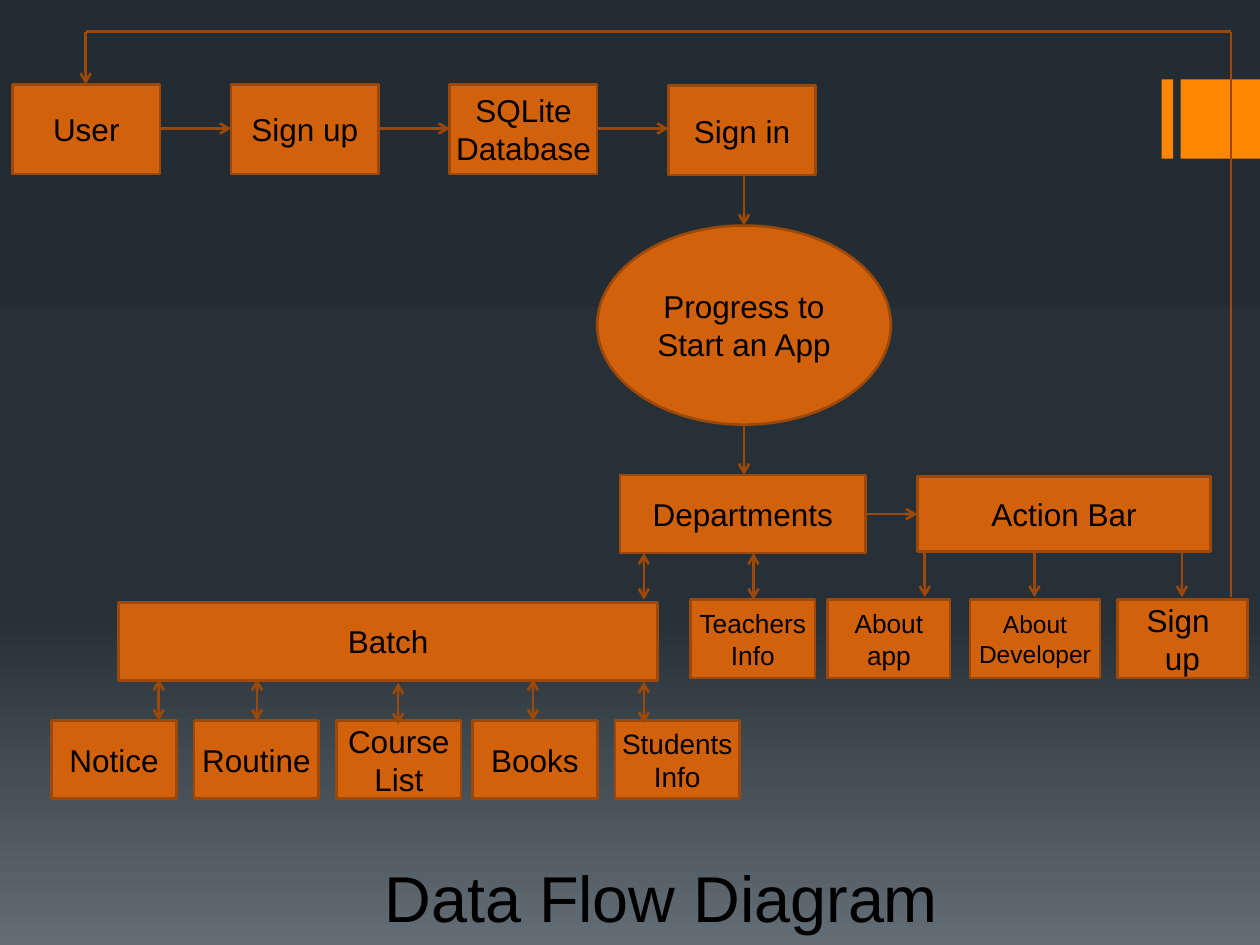
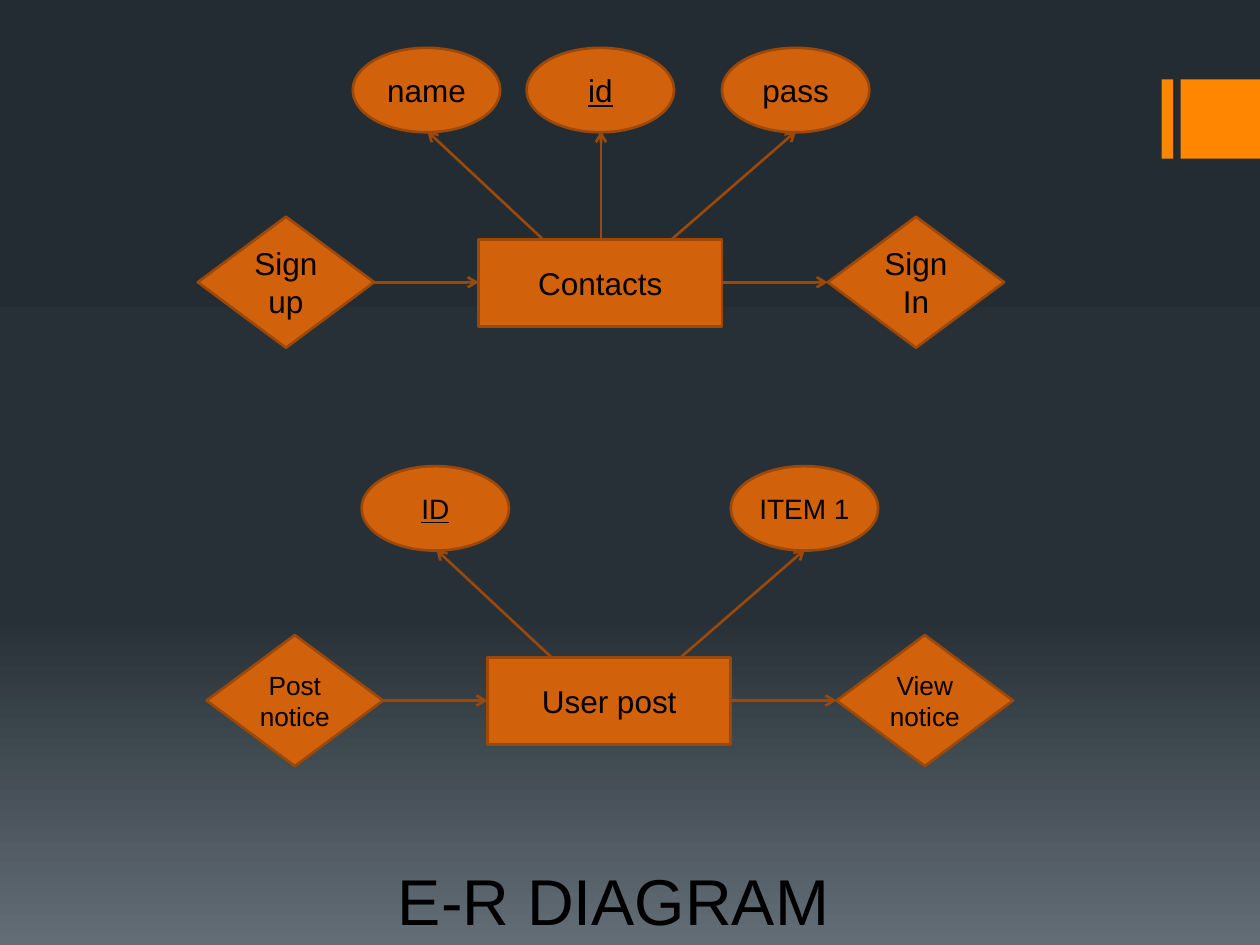
from pptx import Presentation
from pptx.util import Inches, Pt
from pptx.dml.color import RGBColor
from pptx.enum.shapes import MSO_CONNECTOR, MSO_SHAPE
from pptx.enum.text import MSO_ANCHOR, PP_ALIGN
from pptx.oxml import parse_xml
from pptx.oxml.ns import nsdecls
from lxml import etree

FONT = "Arial"
FILL, EDGE, BAND, INK = "D2610C", "9B4809", "FF8600", "000000"
BACKGROUND = [(0, "242C33"), (65, "273037"), (100, "636D76")]
RECT, OVAL, DIAMOND = MSO_SHAPE.RECTANGLE, MSO_SHAPE.OVAL, MSO_SHAPE.DIAMOND
NODE_FRAME = dict(margin_left=Inches(0.04), margin_right=Inches(0.04),
                  margin_top=Inches(0.02), margin_bottom=Inches(0.02),
                  vertical_anchor=MSO_ANCHOR.MIDDLE, word_wrap=True)
TITLE_FRAME = dict(margin_left=Inches(0.1), margin_right=Inches(0.1),
                   margin_top=Inches(0.05), margin_bottom=Inches(0.05),
                   vertical_anchor=MSO_ANCHOR.BOTTOM, word_wrap=True)


def rgb(value):
    return RGBColor.from_string(value)


def apply(target, formats):
    for name, value in formats.items():
        setattr(target, name, value)


def write(sp, text, frame, size, align=PP_ALIGN.CENTER, underline=None):
    """Fill a text frame, one paragraph for each line."""
    tf = sp.text_frame
    apply(tf, frame)
    for i, line in enumerate(text.split("\n")):
        p = tf.paragraphs[0] if i == 0 else tf.add_paragraph()
        p.alignment = align
        r = p.add_run()
        r.text = line
        apply(r.font, dict(name=FONT, size=Pt(size), underline=underline))
        r.font.color.rgb = rgb(INK)


def block(s, kind, x, y, w, h, fill, edge=None):
    sp = s.shapes.add_shape(kind, Inches(x), Inches(y), Inches(w), Inches(h))
    sp.shadow.inherit = False
    sp.fill.solid()
    sp.fill.fore_color.rgb = rgb(fill)
    if edge:
        sp.line.color.rgb = rgb(edge)
        sp.line.width = Pt(1.5)
    else:
        sp.line.fill.background()
    return sp


def node(s, kind, x, y, w, h, text, size=18, underline=None):
    sp = block(s, kind, x, y, w, h, FILL, EDGE)
    write(sp, text, NODE_FRAME, size, underline=underline)


def link(s, x1, y1, x2, y2, ends=("tailEnd",)):
    """Draw a straight connector with open arrowheads at the given ends."""
    cn = s.shapes.add_connector(MSO_CONNECTOR.STRAIGHT, Inches(x1), Inches(y1),
                                Inches(x2), Inches(y2))
    cn.line.color.rgb = rgb(EDGE)
    cn.line.width = Pt(1.5)
    ln = cn.line._get_or_add_ln()
    for end in ends:
        ln.append(parse_xml(f'<a:{end} {nsdecls("a")} type="arrow"/>'))
    etree.SubElement(cn._element.spPr, ln.tag.replace("}ln", "}effectLst"))


BOTH = ("headEnd", "tailEnd")


def new_slide(prs):
    """Add a slide with the shared gradient and corner bands."""
    s = prs.slides.add_slide(prs.slide_layouts[6])
    stops = "".join(f'<a:gs pos="{pos * 1000}"><a:srgbClr val="{c}"/></a:gs>'
                    for pos, c in BACKGROUND)
    s._element.cSld.insert(0, parse_xml(
        f'<p:bg {nsdecls("p", "a")}><p:bgPr><a:gradFill rotWithShape="1">'
        f'<a:gsLst>{stops}</a:gsLst><a:lin ang="5400000" scaled="0"/>'
        f'</a:gradFill><a:effectLst/></p:bgPr></p:bg>'))
    for x, w in ((9.22, 0.09), (9.37, 0.63)):
        block(s, RECT, x, 0.63, w, 0.63, BAND)
    return s


def title(s, text, x, y, w, h, align):
    sp = s.shapes.add_textbox(Inches(x), Inches(y), Inches(w), Inches(h))
    write(sp, text, TITLE_FRAME, 37, align)


def sign_in_row(s, x, y):
    """Four account steps, joined from left to right."""
    w, h, pitch = 1.17, 0.71, 1.735
    for i, text in enumerate(("User", "Sign up", "SQLite\nDatabase", "Sign in")):
        left = x + i * pitch
        node(s, RECT, left, y + (0.01 if i == 3 else 0), w, h, text)
        if i:
            link(s, left - pitch + w, y + 0.35, left, y + 0.35)


def start_app(s, x, y, w, h):
    """Start oval with the arrows into and out of it."""
    node(s, OVAL, x, y, w, h, "Progress to\nStart an App")
    mid = x + w / 2
    link(s, mid, y - 0.41, mid, y)
    link(s, mid, y + h, mid, y + h + 0.4)


def departments(s, x, y):
    """Departments, the action bar and the items below them."""
    node(s, RECT, x, y, 1.95, 0.62, "Departments")
    node(s, RECT, x + 2.36, y + 0.01, 2.33, 0.6, "Action Bar")
    link(s, x + 1.95, y + 0.31, x + 2.36, y + 0.31)
    for left, w, text, size in ((0.56, 0.99, "Teachers\nInfo", 15),
                                (1.65, 0.97, "About\napp", 15),
                                (2.78, 1.03, "About\nDeveloper", 14),
                                (3.95, 1.03, "Sign \nup", 18)):
        node(s, RECT, x + left, y + 0.99, w, 0.62, text, size)
    for dx in (0.19, 1.06):
        link(s, x + dx, y + 0.62, x + dx, y + 0.99, BOTH)
    for dx in (2.42, 3.29, 4.46):
        link(s, x + dx, y + 0.61, x + dx, y + 0.97)


def batch(s, x, y):
    """Batch bar over its five items."""
    node(s, RECT, x + 0.53, y, 4.28, 0.62, "Batch")
    items = ((0, 0.85, 0, "Notice", 18), (1.13, 1.63, 0, "Routine", 18),
             (2.26, 2.75, 0.03, "Course\nList", 18),
             (3.34, 3.82, 0, "Books", 18),
             (4.47, 4.7, 0.02, "Students\nInfo", 16))
    for left, dx, drop, text, size in items:
        node(s, RECT, x + left, y + 0.94, 0.99, 0.62, text, size)
    for left, dx, drop, text, size in items:
        link(s, x + dx, y + 0.94 + drop, x + dx, y + 0.61 + drop, BOTH)


def return_path(s, left, top, right, bottom):
    """Route from the last item back to the user."""
    link(s, right, bottom, right, top, ())
    link(s, right, top, left, top, ())
    link(s, left, top, left, top + 0.42)


def entity(s, x, y, name, actions, attributes, action_size, attribute_size):
    """Entity with an action on each side and attributes above."""
    for dx, text in zip((0, 5), actions):
        node(s, DIAMOND, x + dx, y + 1.34, 1.4, 1.04, text, action_size)
    node(s, RECT, x + 2.23, y + 1.52, 1.93, 0.69, name)
    for x1, x2 in ((1.4, 2.23), (4.16, 5)):
        link(s, x + x1, y + 1.86, x + x2, y + 1.86)
    # Attribute left edge and start of its arrow, by position
    places = {"left": (1.23, 2.74), "middle": (2.61, 3.2), "right": (4.16, 3.76)}
    for place, text, key in attributes:
        left, start = places[place]
        node(s, OVAL, x + left, y, 1.17, 0.67, text, attribute_size, key or None)
        link(s, x + start, y + 1.52, x + left + 0.59, y + 0.66)


def data_flow_slide(prs):
    s = new_slide(prs)
    sign_in_row(s, 0.1, 0.67)
    start_app(s, 4.74, 1.79, 2.33, 1.58)
    departments(s, 4.92, 3.77)
    batch(s, 0.41, 4.78)
    return_path(s, 0.68, 0.25, 9.77, 4.74)
    title(s, "Data Flow Diagram", 2.56, 6.76, 5.38, 0.71, PP_ALIGN.CENTER)


def er_slide(prs):
    s = new_slide(prs)
    entity(s, 1.57, 0.38, "Contacts", ("Sign up", "Sign In"),
           (("left", "name", False), ("middle", "id", True),
            ("right", "pass", False)), 18, 18)
    entity(s, 1.64, 3.7, "User post", ("Post notice", "View notice"),
           (("left", "ID", True), ("right", "ITEM 1", False)), 15, 16)
    title(s, "E-R DIAGRAM", 3.06, 6.91, 4.36, 0.59, PP_ALIGN.LEFT)


prs = Presentation()
prs.slide_width, prs.slide_height = Inches(10), Inches(7.5)
data_flow_slide(prs)
er_slide(prs)
prs.save("out.pptx")
